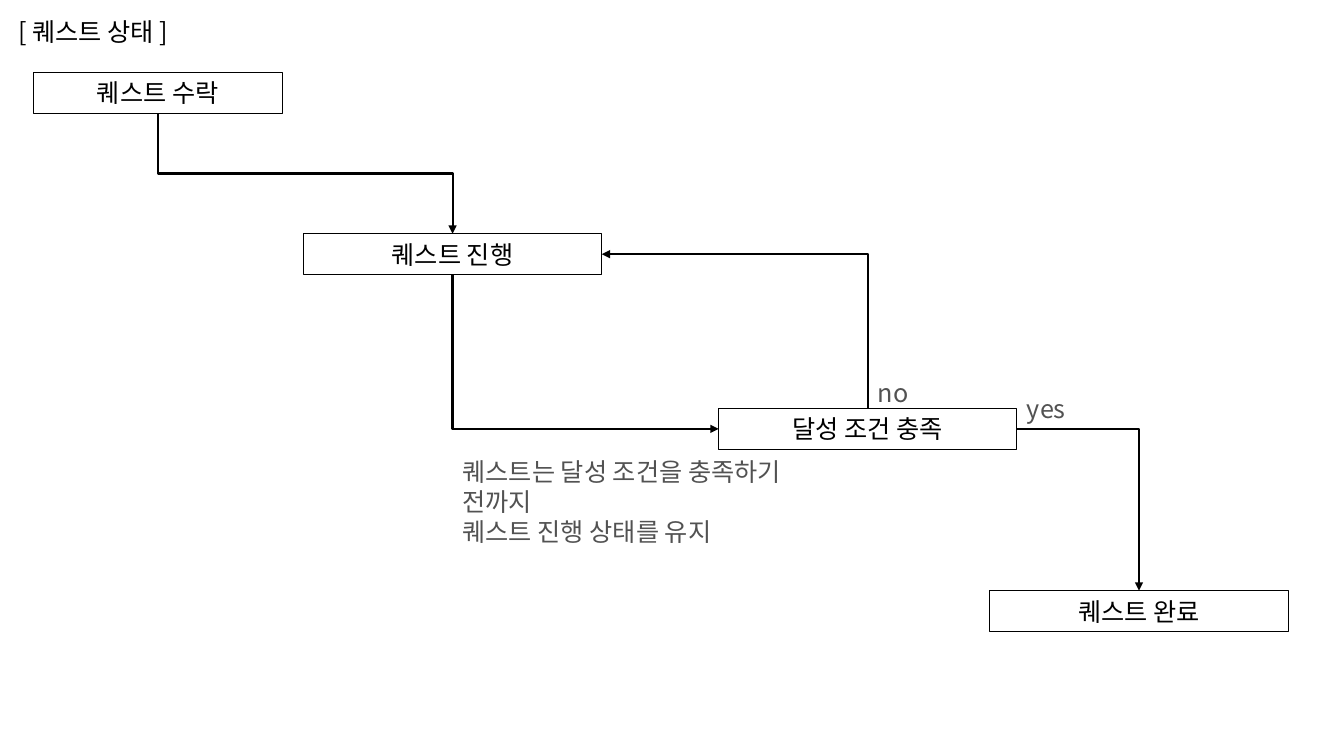
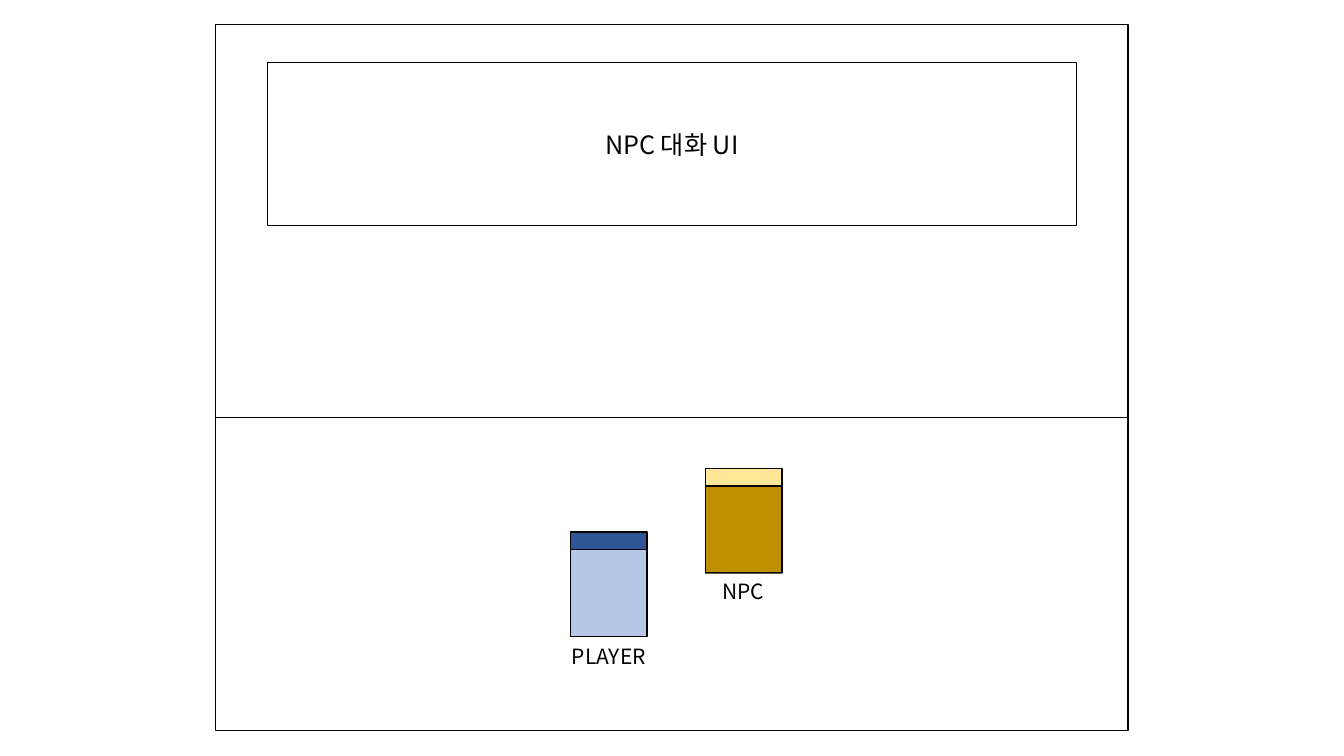
from pptx import Presentation
from pptx.dml.color import RGBColor
from pptx.enum.shapes import MSO_CONNECTOR, MSO_SHAPE
from pptx.enum.text import MSO_ANCHOR, MSO_AUTO_SIZE, PP_ALIGN
from pptx.oxml.ns import qn
from pptx.util import Pt
from lxml.etree import SubElement

FONT = "Noto Sans CJK KR"
BLACK = RGBColor(0x00, 0x00, 0x00)
WHITE = RGBColor(0xFF, 0xFF, 0xFF)
GRAY = RGBColor(0x52, 0x52, 0x52)
GOLD = RGBColor(0xBF, 0x90, 0x00)
CREAM = RGBColor(0xFF, 0xE6, 0x99)
SKY = RGBColor(0xB4, 0xC7, 0xE7)
NAVY = RGBColor(0x2F, 0x55, 0x97)

TITLE_ONLY, BLANK = 5, 6
TOP, LEFT, BOTTOM, RIGHT = range(4)
STATE_HEIGHT = 29.08
STATE_WIDTH = 213.12
FIGURE_WIDTH, HEAD_HEIGHT, BODY_HEIGHT = 54.72, 12.24, 62.28


def write(frame, lines, size=18, color=BLACK, align=PP_ALIGN.LEFT):
    frame.word_wrap = True
    frame.auto_size = MSO_AUTO_SIZE.SHAPE_TO_FIT_TEXT
    frame.vertical_anchor = MSO_ANCHOR.MIDDLE
    for index, line in enumerate(lines):
        paragraph = frame.add_paragraph() if index else frame.paragraphs[0]
        paragraph.alignment = align
        run = paragraph.add_run()
        run.text = line
        run.font.name = FONT
        run.font.size = Pt(size)
        run.font.color.rgb = color
        SubElement(run.font._element, qn("a:ea"), typeface=FONT)


def add_title(slide, text, left, top, width, height):
    title = slide.shapes.title
    title.left, title.top = Pt(left), Pt(top)
    title.width, title.height = Pt(width), Pt(height)
    write(title.text_frame, [text])


def add_note(slide, lines, left, top, width, height=STATE_HEIGHT):
    note = slide.shapes.add_textbox(Pt(left), Pt(top), Pt(width), Pt(height))
    write(note.text_frame, lines, color=GRAY)


def add_box(shapes, left, top, width, height, fill=None, outline=0.75, text=None, size=18):
    box = shapes.add_shape(MSO_SHAPE.RECTANGLE, Pt(left), Pt(top), Pt(width), Pt(height))
    box.shadow.inherit = False
    if fill is None:
        box.fill.background()
    else:
        box.fill.solid()
        box.fill.fore_color.rgb = fill
    if outline:
        box.line.color.rgb = BLACK
        box.line.width = Pt(outline)
    else:
        box.line.fill.background()
    if text:
        write(box.text_frame, [text], size, align=PP_ALIGN.CENTER)
    return box


def style_line(connector, weight, arrow=False):
    connector.line.color.rgb = BLACK
    connector.line.width = Pt(weight)
    properties = connector._element.spPr
    if arrow:
        SubElement(properties.find(qn("a:ln")), qn("a:tailEnd"), type="triangle")
    SubElement(properties, qn("a:effectLst"))


def add_elbow(slide, source, source_side, target, target_side):
    elbow = slide.shapes.add_connector(MSO_CONNECTOR.ELBOW, 0, 0, 0, 0)
    elbow.begin_connect(source, source_side)
    elbow.end_connect(target, target_side)
    properties = elbow._element.spPr
    if (source_side + target_side) % 2:
        properties.find(qn("a:prstGeom")).set("prst", "bentConnector2")
    if source_side in (TOP, BOTTOM):
        dx, dy = elbow.end_x - elbow.begin_x, elbow.end_y - elbow.begin_y
        center_x = elbow.begin_x + dx // 2
        center_y = elbow.begin_y + dy // 2
        elbow.width, elbow.height = abs(dy), abs(dx)
        elbow.left = center_x - elbow.width // 2
        elbow.top = center_y - elbow.height // 2
        frame = properties.find(qn("a:xfrm"))
        frame.set("rot", str(270 * 60000))
        frame.set("flipH", str(int(dy > 0)))
        frame.set("flipV", str(int(dx < 0)))
    style_line(elbow, 1.5, arrow=True)


def add_figure(slide, left, top, head, body):
    parts = slide.shapes.add_group_shape().shapes
    add_box(parts, left, top + HEAD_HEIGHT, FIGURE_WIDTH, BODY_HEIGHT, body, 1)
    add_box(parts, left, top, FIGURE_WIDTH, HEAD_HEIGHT, head, 1)


def build_quest_states(prs):
    slide = prs.slides.add_slide(prs.slide_layouts[TITLE_ONLY])
    add_title(slide, "[ 퀘스트 상태 ]", 5.76, 7.92, 222.48, STATE_HEIGHT)

    accepted, progress, condition, complete = [
        add_box(slide.shapes, left, top, width, STATE_HEIGHT, text=text)
        for text, left, top, width in (
            ("퀘스트 수락", 23.76, 51.84, 177.84),
            ("퀘스트 진행", 216.72, 167.04, STATE_WIDTH),
            ("달성 조건 충족", 513.36, 291.8, STATE_WIDTH),
            ("퀘스트 완료", 707.04, 421.92, STATE_WIDTH),
        )
    ]
    add_elbow(slide, condition, RIGHT, complete, TOP)
    add_elbow(slide, accepted, BOTTOM, progress, TOP)
    add_elbow(slide, progress, BOTTOM, condition, LEFT)
    add_elbow(slide, condition, TOP, progress, RIGHT)

    add_note(slide, ["no"], 619.92, 265.68, 38.88)
    add_note(slide, ["yes"], 726.48, 277.2, 59.04)
    add_note(slide, ["퀘스트는 달성 조건을 충족하기 전까지 ", "퀘스트 진행 상태를 유지"],
             323.28, 332.64, 288.72, 50.9)


def build_dialogue_screen(prs):
    slide = prs.slides.add_slide(prs.slide_layouts[BLANK])
    add_box(slide.shapes, 154.08, 17.28, 651.6, 504.72, WHITE, 1)
    add_box(slide.shapes, 190.8, 44.64, 578.16, 116.64, text="NPC 대화 UI")
    add_figure(slide, 504, 334.8, CREAM, GOLD)
    add_figure(slide, 407.52, 380.16, NAVY, SKY)
    ground = slide.shapes.add_connector(
        MSO_CONNECTOR.STRAIGHT, Pt(154.08), Pt(298.08), Pt(805.68), Pt(298.08))
    style_line(ground, 0.5)
    for text, left, top, width in (("NPC", 501.84, 409.68, 58.32),
                                   ("PLAYER", 398.88, 455.76, 72)):
        add_box(slide.shapes, left, top, width, 25.2, WHITE, 0, text, 15)


def main():
    prs = Presentation()
    prs.slide_width, prs.slide_height = Pt(960), Pt(540)
    build_quest_states(prs)
    build_dialogue_screen(prs)
    prs.save("out.pptx")


main()
